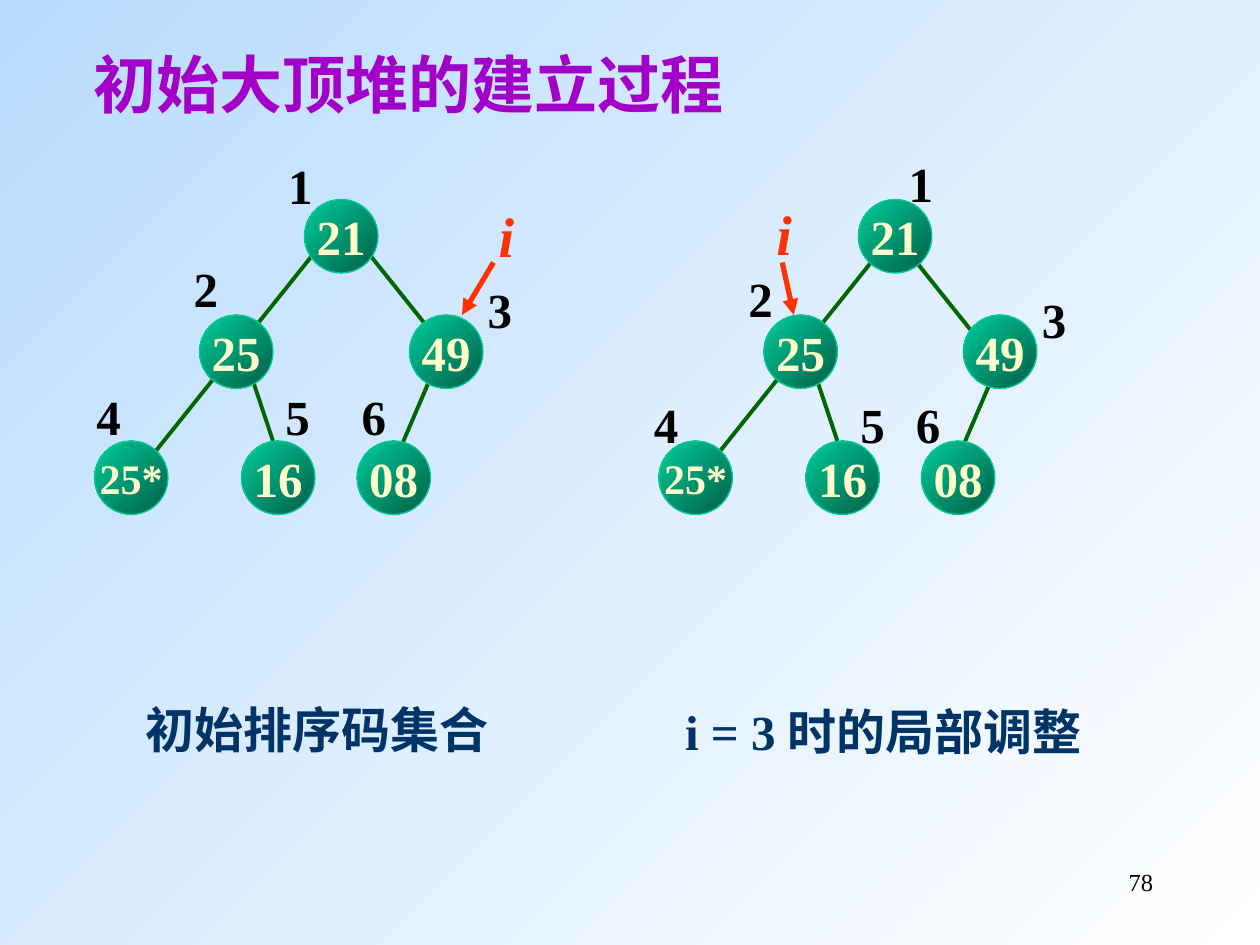
from lxml.etree import SubElement
from pptx import Presentation
from pptx.dml.color import RGBColor
from pptx.enum.shapes import MSO_CONNECTOR, MSO_SHAPE
from pptx.enum.text import MSO_ANCHOR, PP_ALIGN
from pptx.oxml.ns import qn
from pptx.util import Inches, Pt

FONT = "Times New Roman"
PURPLE = RGBColor(0xA2, 0x00, 0xC8)
NAVY = RGBColor(0x00, 0x33, 0x66)
BLACK = RGBColor(0x00, 0x00, 0x00)
RED = RGBColor(0xFF, 0x33, 0x00)
CREAM = RGBColor(0xFF, 0xFF, 0xCC)
EDGE_GREEN = RGBColor(0x00, 0x66, 0x00)
NODE_DARK = RGBColor(0x00, 0x5E, 0x46)
NODE_LIGHT = RGBColor(0x00, 0xCC, 0x99)
WHITE = RGBColor(0xFF, 0xFF, 0xFF)
SKY = RGBColor(0xB9, 0xDC, 0xFF)

# The slide is a grid of 120 columns and 90 rows, each cell 1/12 inch.
CELL = Inches(1) / 12
NODE_SIZE = 7
LABEL_SIZE = (4.68, 6.84)
POINTER_SIZE = (3.84, 7.68)

# All columns inside a tree are counted from its origin.
KEYS = ["21", "25", "49", "25*", "16", "08"]
TREES = [
    {
        "origin": 0,
        "nodes": [(29, 19), (19, 30), (39, 30), (9, 42), (23, 42), (34, 42)],
        "edges": [(41, 36, 38, 43), (24, 36, 26, 42),
                  (35, 24, 43, 34), (30, 24, 14, 44)],
        "labels": [(26.25, 14.2), (17.25, 24), (45.25, 26),
                   (8, 36.25), (26, 36.25), (33.25, 36.25)],
        "pointer": (46.3, 18.6),
        "arrow": (47, 25, 44, 30),
        "caption": ("初始排序码集合", 12.7, 66, 35),
    },
    {
        "origin": 53.75,
        "nodes": [(28, 19), (19, 30), (38, 30), (9, 42), (23, 42), (34, 42)],
        "edges": [(40.75, 36, 37.75, 43), (24, 36, 26, 42),
                  (32.75, 24, 40.75, 34), (30, 24, 14, 44)],
        "labels": [(31.6, 14), (16.33, 25), (44.3, 27),
                   (7.33, 37), (27, 37), (32.3, 37)],
        "pointer": (19, 18.4),
        "arrow": (20.75, 25, 21.85, 30),
        "caption": ("i = 3 时的局部调整", 10.33, 66.25, 41.3),
    },
]


def write(shape, text, size, color, bold=True, italic=False, align=PP_ALIGN.LEFT):
    """Put one unwrapped line of formatted text into a shape."""
    shape.text_frame.word_wrap = False
    paragraph = shape.text_frame.paragraphs[0]
    paragraph.alignment = align
    run = paragraph.add_run()
    run.text = text
    run.font.name = FONT
    run.font.size = Pt(size)
    run.font.bold = bold
    run.font.italic = italic
    run.font.color.rgb = color


def add_line(ends, origin, color, width):
    """Draw a straight shadowless connector between two grid points."""
    x1, y1, x2, y2 = ends
    points = [round(n * CELL) for n in (origin + x1, y1, origin + x2, y2)]
    line = slide.shapes.add_connector(MSO_CONNECTOR.STRAIGHT, *points)
    line.line.color.rgb = color
    line.line.width = Pt(width)
    SubElement(line._element.spPr, qn("a:effectLst"))
    return line


presentation = Presentation()
presentation.slide_width = round(120 * CELL)
presentation.slide_height = round(90 * CELL)
slide = presentation.slides.add_slide(presentation.slide_layouts[6])

background = slide.background.fill
background.gradient()
background.gradient_angle = 135
background.gradient_stops[0].color.rgb = WHITE
background.gradient_stops[1].color.rgb = SKY

# Text boxes: text, column, row, width, height, size, colour, italic
boxes = [("初始大顶堆的建立过程", 7.7, 3.75, 62.4, 8.4, 36, PURPLE, False)]

for tree in TREES:
    origin = tree["origin"]
    for edge in tree["edges"]:
        add_line(edge, origin, EDGE_GREEN, 2.25)

    for key, (column, row) in zip(KEYS, tree["nodes"]):
        place = [round(n * CELL) for n in (origin + column, row, NODE_SIZE, NODE_SIZE)]
        node = slide.shapes.add_shape(MSO_SHAPE.OVAL, *place)
        node.shadow.inherit = False
        node.fill.gradient()
        node.fill.gradient_angle = 135
        node.fill.gradient_stops[0].color.rgb = NODE_DARK
        node.fill.gradient_stops[1].color.rgb = NODE_LIGHT
        node.line.color.rgb = NODE_LIGHT
        node.line.width = Pt(0.75)
        node.text_frame.vertical_anchor = MSO_ANCHOR.MIDDLE
        write(node, key, 24 if len(key) > 2 else 28, CREAM, align=PP_ALIGN.CENTER)

    arrow = add_line(tree["arrow"], origin, RED, 3)
    SubElement(arrow.line._get_or_add_ln(), qn("a:tailEnd"), type="triangle")

    for number, (column, row) in enumerate(tree["labels"], start=1):
        boxes.append((str(number), origin + column, row, *LABEL_SIZE, 28, BLACK, False))
    column, row = tree["pointer"]
    boxes.append(("i", origin + column, row, *POINTER_SIZE, 32, RED, True))
    caption, column, row, width = tree["caption"]
    boxes.append((caption, origin + column, row, width, 6.84, 28, NAVY, False))

for text, column, row, width, height, size, color, italic in boxes:
    place = [round(n * CELL) for n in (column, row, width, height)]
    write(slide.shapes.add_textbox(*place), text, size, color, italic=italic)

place = [round(n * CELL) for n in (86, 82, 25, 6)]
page_number = slide.shapes.add_textbox(*place)
write(page_number, "78", 14, BLACK, bold=False, align=PP_ALIGN.RIGHT)
page_number.text_frame.word_wrap = True

presentation.save("out.pptx")
